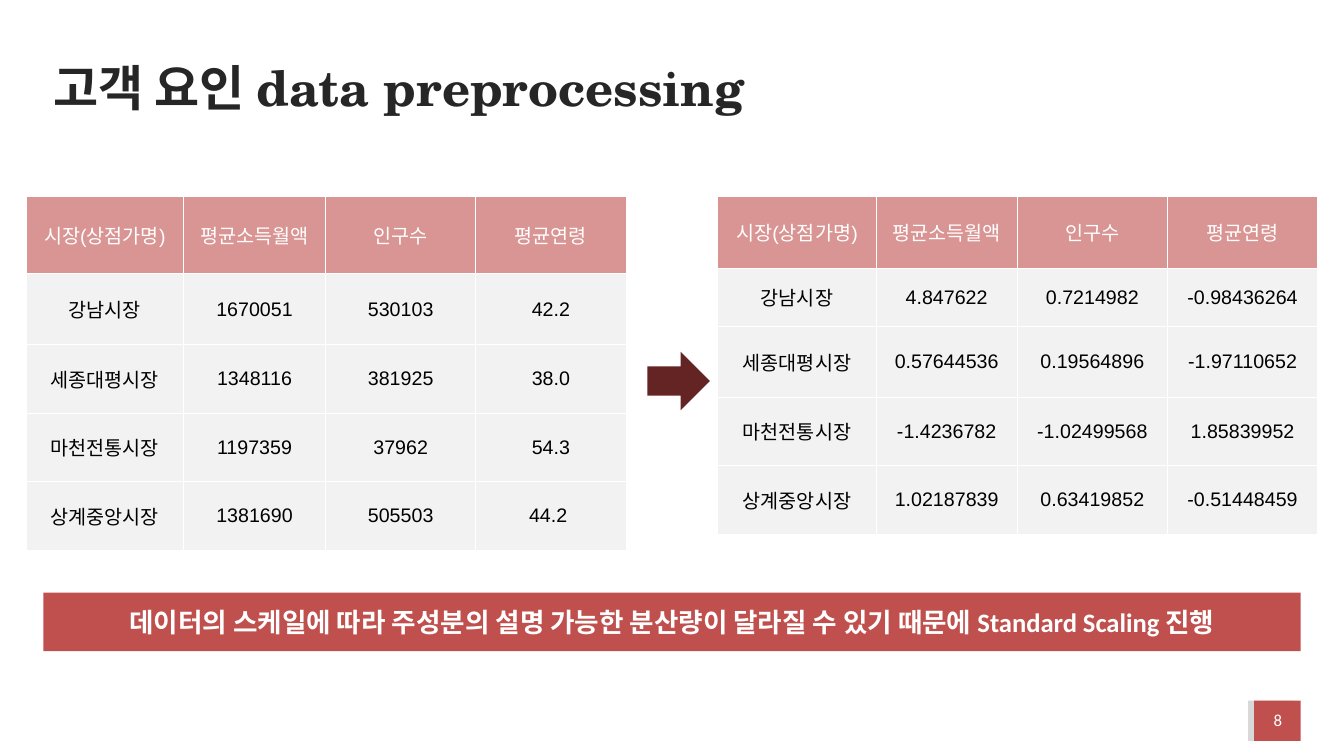
from dataclasses import dataclass

from lxml import etree
from pptx import Presentation
from pptx.dml.color import RGBColor
from pptx.enum import shapes, text
from pptx.oxml import ns
from pptx.util import Inches, Pt


@dataclass(frozen=True)
class Theme:
    ink: str = "262626"
    black: str = "000000"
    white: str = "FFFFFF"
    accent: str = "C0504D"
    header: str = "D99593"
    body: str = "F2F2F2"
    arrow: str = "632423"
    shade: str = "D8D8D8"
    korean: str = "Noto Sans CJK KR"
    display: str = "TeX Gyre Schola"
    table: str = "Arial"
    plain: str = "Calibri"
    title_size: float = 35
    banner_size: float = 19
    table_size: float = 14
    number_size: float = 12
    border: float = 0.75


THEME = Theme()


@dataclass(frozen=True)
class Box:
    left: float
    top: float
    width: float
    height: float

    def lengths(self) -> tuple:
        return tuple(map(Inches, (self.left, self.top, self.width, self.height)))


@dataclass(frozen=True)
class Style:
    font: str
    size: float
    color: str
    bold: bool = False


@dataclass(frozen=True)
class MarketTable:
    box: Box
    columns: tuple
    heights: tuple
    markets: tuple


HEADINGS = ("시장(상점가명)", "평균소득월액", "인구수", "평균연령")

RAW = MarketTable(
    Box(0.26, 1.95, 5.94, 3.35),
    (1.56, 1.41, 1.49, 1.49),
    (0.61, 0.7, 0.68, 0.68, 0.68),
    (
        ("강남시장", "1670051", "530103", "42.2"),
        ("세종대평시장", "1348116", "381925", "38.0"),
        ("마천전통시장", "1197359", "37962", "54.3"),
        ("상계중앙시장", "1381690", "505503", "44.2 "),
    ),
)
SCALED = MarketTable(
    Box(7.12, 1.95, 5.94, 3.35),
    (1.57, 1.4, 1.49, 1.49),
    (0.71, 0.58, 0.7, 0.68, 0.68),
    (
        ("강남시장", "4.847622", "0.7214982", "-0.98436264"),
        ("세종대평시장", "0.57644536", "0.19564896", "-1.97110652"),
        ("마천전통시장", "-1.4236782", "-1.02499568", "1.85839952"),
        ("상계중앙시장", "1.02187839", "0.63419852", "-0.51448459"),
    ),
)


def add_run(paragraph, words: str, style: Style) -> None:
    run = paragraph.add_run()
    run.text = words
    font = run.font
    font.name, font.size, font.bold = style.font, Pt(style.size), style.bold
    font.color.rgb = RGBColor.from_string(style.color)
    # East Asian typeface for the Korean letters
    korean = etree.Element(ns.qn("a:ea"), typeface=THEME.korean)
    run._r.rPr.find(ns.qn("a:latin")).addnext(korean)


def set_frame(frame, side: float, end: float) -> None:
    frame.word_wrap = True
    frame.auto_size = text.MSO_AUTO_SIZE.NONE
    frame.vertical_anchor = text.MSO_ANCHOR.MIDDLE
    frame.margin_left = frame.margin_right = Inches(side)
    frame.margin_top = frame.margin_bottom = Inches(end)


def add_block(slide, kind, box: Box, fill: str):
    block = slide.shapes.add_shape(kind, *box.lengths())
    block.shadow.inherit = False
    block.fill.solid()
    block.fill.fore_color.rgb = RGBColor.from_string(fill)
    block.line.fill.background()
    return block


def set_borders(cell) -> None:
    properties = cell._tc.get_or_add_tcPr()
    for index, side in enumerate(("lnL", "lnR", "lnT", "lnB")):
        line = etree.Element(ns.qn(f"a:{side}"), w=str(Pt(THEME.border)))
        fill = etree.SubElement(line, ns.qn("a:solidFill"))
        etree.SubElement(fill, ns.qn("a:srgbClr"), val=THEME.white)
        properties.insert(index, line)


def fill_cell(cell, words: str, fill: str, style: Style) -> None:
    cell.fill.solid()
    cell.fill.fore_color.rgb = RGBColor.from_string(fill)
    cell.vertical_anchor = text.MSO_ANCHOR.MIDDLE
    cell.margin_left = cell.margin_right = Inches(0.1)
    cell.margin_top = cell.margin_bottom = Inches(0.1)
    set_borders(cell)
    paragraph = cell.text_frame.paragraphs[0]
    paragraph.alignment = text.PP_ALIGN.CENTER
    add_run(paragraph, words, style)


def add_market_table(slide, data: MarketTable) -> None:
    rows = (HEADINGS, *data.markets)
    table = slide.shapes.add_table(len(rows), len(HEADINGS), *data.box.lengths()).table
    table.horz_banding = False
    for column, width in zip(table.columns, data.columns):
        column.width = Inches(width)
    for row, height in zip(table.rows, data.heights):
        row.height = Inches(height)
    for r, values in enumerate(rows):
        fill, ink = (THEME.body, THEME.black) if r else (THEME.header, THEME.white)
        style = Style(THEME.table, THEME.table_size, ink)
        for c, value in enumerate(values):
            fill_cell(table.cell(r, c), value, fill, style)


def add_title(slide) -> None:
    title = slide.shapes.title
    title.left, title.top, title.width, title.height = Box(0.43, 0.46, 12.47, 0.87).lengths()
    set_frame(title.text_frame, 0.1, 0.05)
    heading = title.text_frame.paragraphs[0]
    heading.alignment = text.PP_ALIGN.LEFT
    heading.line_spacing = 0.9
    for words, font in (("고객 요인", THEME.korean), (" data preprocessing", THEME.display)):
        add_run(heading, words, Style(font, THEME.title_size, THEME.ink, True))


def add_centred(shape, words: str, style: Style, side: float, end: float) -> None:
    set_frame(shape.text_frame, side, end)
    paragraph = shape.text_frame.paragraphs[0]
    paragraph.alignment = text.PP_ALIGN.CENTER
    add_run(paragraph, words, style)


def main() -> None:
    deck = Presentation()
    deck.slide_width, deck.slide_height = Inches(13.33), Inches(7.5)
    slide = deck.slides.add_slide(deck.slide_layouts.get_by_name("Title Only"))
    rectangle = shapes.MSO_SHAPE.RECTANGLE

    # Page number tab
    add_block(slide, rectangle, Box(12.38, 6.95, 0.46, 0.4), THEME.shade)
    add_block(slide, rectangle, Box(12.44, 6.95, 0.46, 0.4), THEME.accent)
    number = slide.shapes.add_textbox(*Box(12.52, 7.01, 0.31, 0.27).lengths())
    add_centred(number, "8", Style(THEME.plain, THEME.number_size, THEME.white), 0, 0)

    # Title
    add_title(slide)

    # Raw values, arrow, scaled values
    add_market_table(slide, RAW)
    add_block(slide, shapes.MSO_SHAPE.RIGHT_ARROW, Box(6.42, 3.49, 0.62, 0.58), THEME.arrow)
    add_market_table(slide, SCALED)

    # Conclusion banner
    banner = add_block(slide, rectangle, Box(0.43, 5.88, 12.47, 0.58), THEME.accent)
    conclusion = "데이터의 스케일에 따라 주성분의 설명 가능한 분산량이 달라질 수 있기 때문에 Standard Scaling 진행"
    add_centred(banner, conclusion,
                Style(THEME.plain, THEME.banner_size, THEME.white, True), 0.1, 0.05)

    deck.save("out.pptx")


if __name__ == "__main__":
    main()
